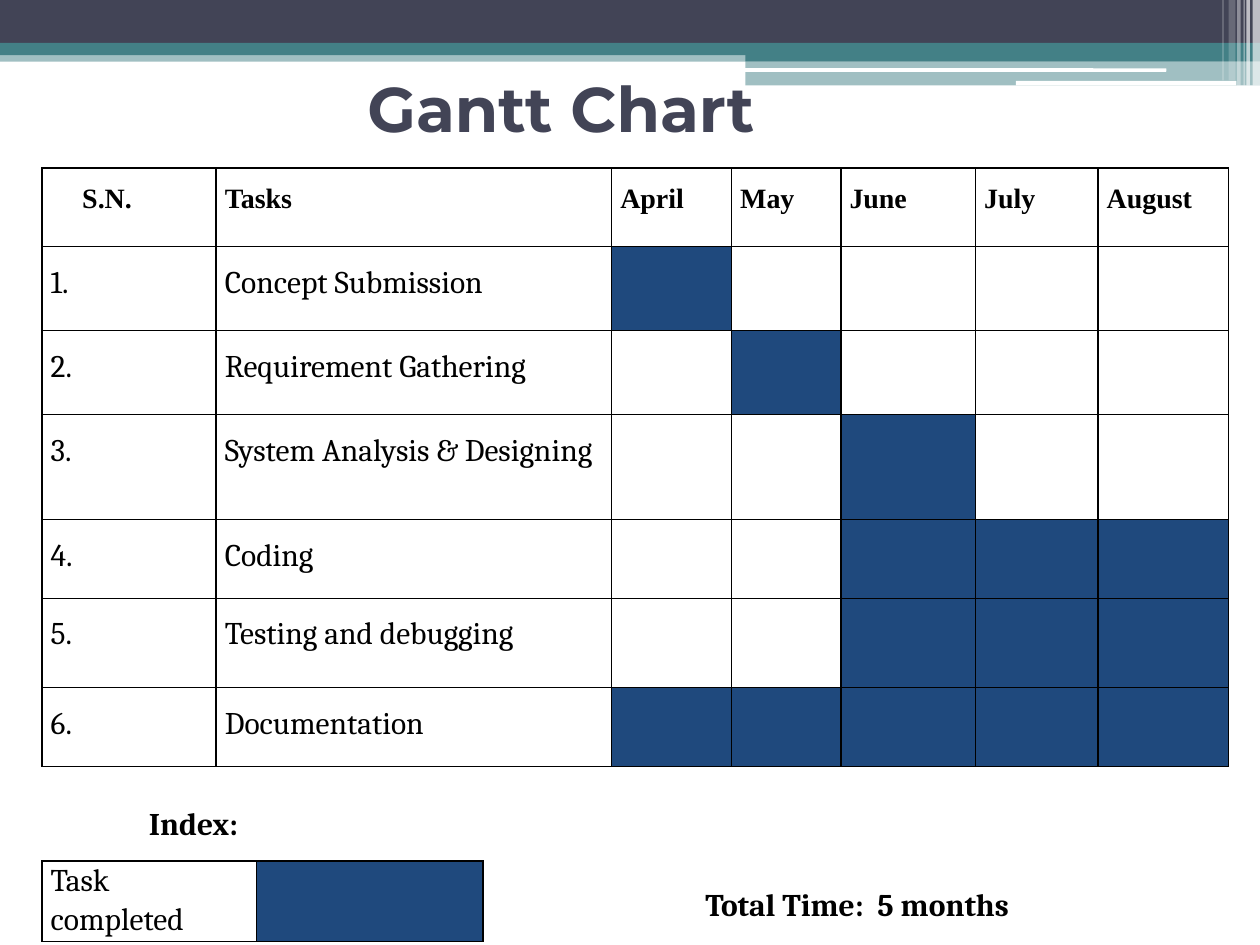
import pptx
import pptx.util
import pptx.dml.color
import pptx.enum.shapes
import pptx.enum.text
import pptx.oxml
import pptx.oxml.ns

Pt = pptx.util.Pt
SHAPE = pptx.enum.shapes.MSO_SHAPE
ALIGN = pptx.enum.text.PP_ALIGN
ANCHOR = pptx.enum.text.MSO_ANCHOR
AUTO_SIZE = pptx.enum.text.MSO_AUTO_SIZE

COLORS = {
    "slate": "424456",
    "teal": "438086",
    "done": "1F497D",
    "white": "FFFFFF",
    "black": "000000",
}


class SlideBuilder:
    body_font = "Cambria"
    header_font = "Times New Roman"
    title_font = "Montserrat"

    def __init__(self, slide):
        self.slide = slide

    def paint(self, fill, color):
        fill.solid()
        fill.fore_color.rgb = pptx.dml.color.RGBColor.from_string(COLORS[color])

    def style(self, paragraph, name, size, bold=False, color="black"):
        font = paragraph.font
        font.name, font.size, font.bold = name, Pt(size), bold
        font.color.rgb = pptx.dml.color.RGBColor.from_string(COLORS[color])

    def bar(self, left, top, width, height, color, opacity=100, kind=SHAPE.RECTANGLE):
        bar = self.slide.shapes.add_shape(kind, Pt(left), Pt(top), Pt(width), Pt(height))
        bar.shadow.inherit = False
        bar.line.fill.background()
        self.paint(bar.fill, color)
        if opacity < 100:
            hue = bar.fill._xPr.find(".//" + pptx.oxml.ns.qn("a:srgbClr"))
            hue.append(pptx.oxml.parse_xml(
                f'<a:alpha {pptx.oxml.ns.nsdecls("a")} val="{opacity * 1000}"/>'))

    def title(self, text, left, top, width, height):
        title = self.slide.shapes.title
        title.left, title.top, title.width, title.height = Pt(left), Pt(top), Pt(width), Pt(height)
        frame = title.text_frame
        frame.text = text
        frame.auto_size = AUTO_SIZE.NONE
        frame.vertical_anchor = ANCHOR.TOP
        frame.margin_left, frame.margin_top = Pt(54), Pt(10)
        frame.margin_right = frame.margin_bottom = 0
        heading = frame.paragraphs[0]
        heading.alignment = ALIGN.LEFT
        heading.line_spacing = 1.0
        heading.space_before = Pt(0)
        self.style(heading, self.title_font, 36, True, "slate")
        self.slide.shapes._spTree.append(title._element)

    def label(self, text, left, top, width, height, wrap=True):
        frame = self.slide.shapes.add_textbox(
            Pt(left), Pt(top), Pt(width), Pt(height)).text_frame
        frame.word_wrap = wrap
        frame.text = text
        self.style(frame.paragraphs[0], self.body_font, 18, True)

    def table(self, left, top, widths, heights):
        table = self.slide.shapes.add_table(
            len(heights), len(widths), Pt(left), Pt(top),
            Pt(sum(widths)), Pt(sum(heights))).table
        table.first_row = table.horz_banding = False
        for column, width in zip(table.columns, widths):
            column.width = Pt(width)
        for row, height in zip(table.rows, heights):
            row.height = Pt(height)
        for cell in table.iter_cells():
            self.paint(cell.fill, "white")
            self.border(cell)
        return table

    def border(self, cell):
        properties = cell._tc.get_or_add_tcPr()
        for position, side in enumerate(("lnL", "lnR", "lnT", "lnB")):
            properties.insert(position, pptx.oxml.parse_xml(
                f'<a:{side} {pptx.oxml.ns.nsdecls("a")} w="12700"><a:solidFill>'
                f'<a:srgbClr val="{COLORS["black"]}"/></a:solidFill></a:{side}>'))

    def cell_text(self, cell, text, header=False, spacing=1.5, align=ALIGN.JUSTIFY):
        cell.text = text
        cell.margin_left = cell.margin_right = Pt(5)
        cell.margin_top = cell.margin_bottom = 0
        paragraph = cell.text_frame.paragraphs[0]
        paragraph.alignment = align
        paragraph.line_spacing = spacing
        paragraph.space_after = Pt(8)
        if header:
            self.style(paragraph, self.header_font, 16, True)
        else:
            self.style(paragraph, self.body_font, 18)


HEADERS = ["S.N.", "Tasks", "April", "May", "June", "July", "August"]
TASKS = [
    ("Concept Submission", ["April"]),
    ("Requirement Gathering", ["May"]),
    ("System Analysis & Designing", ["June"]),
    ("Coding", ["June", "July", "August"]),
    ("Testing and debugging", ["June", "July", "August"]),
    ("Documentation", HEADERS[2:]),
]
BANDS = [
    (0, 28.8, 720, 6.5, "teal", 50),
    (0, 0, 720, 24.5, "slate"),
    (0, 24.5, 720, 7, "teal"),
    (426, 28, 294, 7, "teal"),
    (426, 34.8, 294, 14, "teal", 50),
    (425.5, 39, 241, 2, "white", 100, SHAPE.ROUNDED_RECTANGLE),
    (580.5, 46.2, 126, 2.6, "white", 100, SHAPE.ROUNDED_RECTANGLE),
]
STRIPES = [
    (715.8, 4.2, 49, 65),
    (712.2, 2, 49, 65),
    (710.6, 0.7, 49, 60),
    (707, 2, 49, 40),
    (702, 4, 46, 20),
    (698.5, 0.7, 46, 30),
]


def main():
    deck = pptx.Presentation()
    deck.slide_width, deck.slide_height = Pt(720), Pt(540)
    builder = SlideBuilder(deck.slides.add_slide(deck.slide_layouts[5]))

    for band in BANDS:
        builder.bar(*band)
    for left, width, height, opacity in STRIPES:
        builder.bar(left, 0, width, height, "white", opacity)

    builder.label("Total Time:  5 months", 396, 502, 282, 29)
    builder.label("Index:", 78, 456, 79, 29, wrap=False)
    builder.title("Gantt Chart", 156, 30, 330, 76)

    gantt = builder.table(24, 96, [99.5, 226, 68.5, 62.5, 77, 70, 74.5],
                          [45, 48, 48, 60, 45, 51, 45])
    for column, header in enumerate(HEADERS):
        builder.cell_text(gantt.cell(0, column), header, header=True)
    gantt.cell(0, 0).text_frame.paragraphs[0]._p.get_or_add_pPr().set("marL", str(Pt(18)))
    for number, (task, months) in enumerate(TASKS, 1):
        builder.cell_text(gantt.cell(number, 0), f"{number}.")
        builder.cell_text(gantt.cell(number, 1), task)
        for month in months:
            builder.paint(gantt.cell(number, HEADERS.index(month)).fill, "done")
    gantt.cell(3, 1).text_frame.paragraphs[0].alignment = ALIGN.LEFT

    legend = builder.table(24, 492, [122.5, 129.5], [46])
    builder.cell_text(legend.cell(0, 0), "Task completed", spacing=1.07, align=ALIGN.LEFT)
    builder.paint(legend.cell(0, 1).fill, "done")

    deck.save("out.pptx")


if __name__ == "__main__":
    main()
